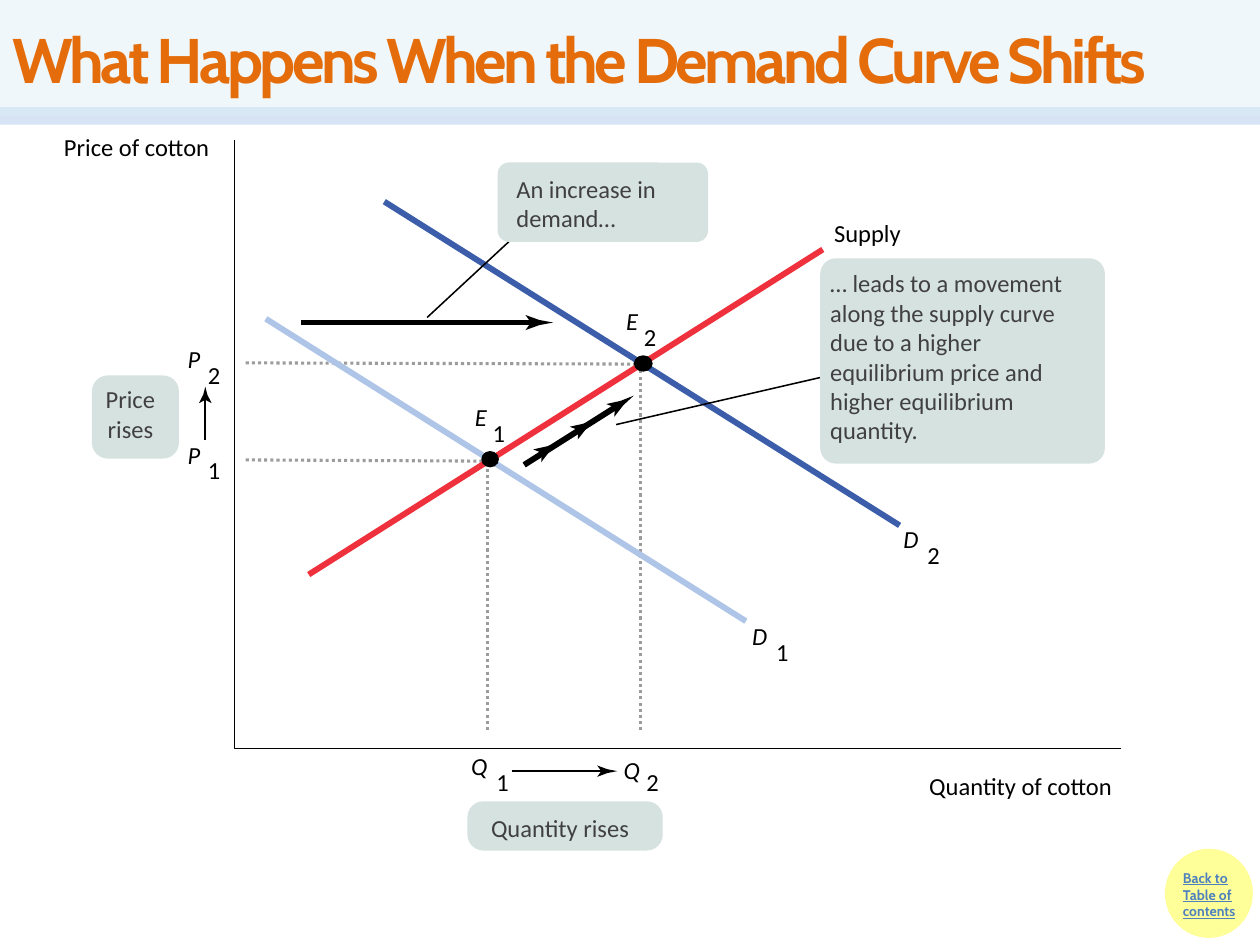
from math import atan2, cos, hypot, sin
from typing import NamedTuple

from lxml.etree import SubElement
from pptx import Presentation
from pptx.dml.color import RGBColor
from pptx.enum.dml import MSO_LINE
from pptx.enum.shapes import MSO_CONNECTOR, MSO_SHAPE
from pptx.enum.text import MSO_ANCHOR, PP_ALIGN
from pptx.oxml.ns import qn
from pptx.util import Inches, Pt

COLORS = {
    "black": "000000", "text": "404040", "title": "E46C0A", "header": "DBEEF4",
    "band": "C6D9F1", "badge": "FFFF99", "link": "4F81BD", "guide": "9C9C9C",
    "panel": "D6E2E0", "supply": "EE313C", "new demand": "3C5DAA",
    "old demand": "AEC5E7",
}
COLUMNS, ROWS = 100, 75
THIN, MEDIUM, DOTTED, THICK = 0.88, 1.25, 1.75, 3.38

Point = tuple[float, float]


class Box(NamedTuple):
    """A place on the slide, in columns and rows."""
    left: float
    top: float
    width: float
    height: float


class Segment(NamedTuple):
    start: Point
    end: Point
    color: str
    weight: float
    dash: MSO_LINE | None = None


class Symbol(NamedTuple):
    """An italic letter with its lowered index."""
    letter: str
    index: str
    left: float
    top: float
    shift: float
    drop: float = 1.25


class Arrow(NamedTuple):
    start: Point
    tips: tuple[Point, ...]
    weight: float
    head_length: float
    head_width: float


class Callout(NamedTuple):
    words: str
    panel: Box
    radius: float
    text_box: Box
    align: PP_ALIGN = PP_ALIGN.LEFT


prs = Presentation()
prs.slide_width, prs.slide_height = Inches(10), Inches(7.5)
slide = prs.slides.add_slide(prs.slide_layouts[6])
shapes = slide.shapes


def col(value: float) -> int:
    return round(prs.slide_width * value / COLUMNS)


def row(value: float) -> int:
    return round(prs.slide_height * value / ROWS)


def place(box: Box) -> tuple[int, int, int, int]:
    return col(box.left), row(box.top), col(box.width), row(box.height)


def rgb(name: str) -> RGBColor:
    return RGBColor.from_string(COLORS[name])


def set_opacity(fill_parent, percent: int) -> None:
    color = next(fill_parent.iter(qn("a:srgbClr")))
    SubElement(color, qn("a:alpha")).set("val", str(percent * 1000))


def paint(shape, color: str) -> None:
    shape.shadow.inherit = False
    shape.fill.solid()
    shape.fill.fore_color.rgb = rgb(color)
    shape.line.fill.background()


def add_filled(kind: MSO_SHAPE, box: Box, color: str):
    shape = shapes.add_shape(kind, *place(box))
    paint(shape, color)
    return shape


def add_line(segment: Segment):
    line = shapes.add_connector(
        MSO_CONNECTOR.STRAIGHT, col(segment.start[0]), row(segment.start[1]),
        col(segment.end[0]), row(segment.end[1]))
    line.line.color.rgb = rgb(segment.color)
    line.line.width = Pt(segment.weight)
    if segment.dash:
        line.line.dash_style = segment.dash
    SubElement(line._element.spPr, qn("a:effectLst"))
    return line


def add_outline(points: list[Point], close: bool):
    corners = [(col(x), row(y)) for x, y in points]
    builder = shapes.build_freeform(*corners[0])
    builder.add_line_segments(corners[1:], close=close)
    return builder.convert_to_shape()


def write(words: str, box: Box, *, shape=None, size=14, font="Calibri", color="black",
          bold=False, italic=False, underline=False, align=PP_ALIGN.LEFT,
          anchor=MSO_ANCHOR.TOP, wrap=True, inset=True, spacing=0) -> None:
    """Put words in the given shape, or in a new text box."""
    frame = (shape or shapes.add_textbox(*place(box))).text_frame
    frame.word_wrap = wrap
    frame.vertical_anchor = anchor
    if not inset:
        frame.margin_left = frame.margin_right = 0
        frame.margin_top = frame.margin_bottom = 0
    paragraph = frame.paragraphs[0]
    paragraph.alignment = align
    run = paragraph.add_run()
    run.text = words
    run.font.name, run.font.size = font, Pt(size)
    run.font.bold, run.font.italic, run.font.underline = bold, italic, underline
    run.font.color.rgb = rgb(color)
    if spacing:
        run._r.get_or_add_rPr().set("spc", str(spacing * 100))


def add_symbol(symbol: Symbol) -> None:
    write(symbol.letter, Box(symbol.left, symbol.top, 1.4, 2.4),
          italic=True, wrap=False, inset=False)
    write(symbol.index, Box(symbol.left + symbol.shift, symbol.top + symbol.drop, 1, 2.4),
          wrap=False, inset=False)


def add_arrow(arrow: Arrow) -> None:
    """Draw a shaft with a barbed head at each tip, the last one ending it."""
    (x0, y0), (x1, y1) = arrow.start, arrow.tips[-1]
    angle = atan2(y1 - y0, x1 - x0)
    reach = hypot(x1 - x0, y1 - y0) - arrow.head_length * 0.7
    shaft_end = (x0 + reach * cos(angle), y0 + reach * sin(angle))
    add_line(Segment(arrow.start, shaft_end, "black", arrow.weight))
    barbs = [(-0.8, 0), (-1, -0.5), (-0.5, -0.17), (0, 0), (-0.5, 0.17), (-1, 0.5)]
    for tip_x, tip_y in arrow.tips:
        points = []
        for along, across in barbs:
            u, v = along * arrow.head_length, across * arrow.head_width
            points.append((tip_x + u * cos(angle) - v * sin(angle),
                           tip_y + u * sin(angle) + v * cos(angle)))
        paint(add_outline(points, close=True), "black")


def add_callout(callout: Callout) -> None:
    panel = add_filled(MSO_SHAPE.ROUNDED_RECTANGLE, callout.panel, "panel")
    panel.adjustments[0] = callout.radius / min(callout.panel.width, callout.panel.height)
    write(callout.words, callout.text_box, color="text", align=callout.align)


SEGMENTS = [
    *(Segment(start, end, "guide", DOTTED, MSO_LINE.ROUND_DOT) for start, end in [
        ((19.5, 28.8), (50.8, 28.9)), ((50.8, 29.4), (50.8, 58)),
        ((19.5, 36.5), (38.7, 36.6)), ((38.7, 36.7), (38.7, 58))]),
    Segment((24.5, 45.6), (65.3, 19.8), "supply", THICK),
    Segment((71.4, 41.7), (30.5, 16), "new demand", THICK),
    Segment((59.2, 49.3), (21.1, 25.3), "old demand", THICK),
    Segment((48.9, 33.7), (65.8, 29.8), "black", THIN),
    Segment((33.9, 25.2), (40.8, 18.8), "black", THIN),
]
EQUILIBRIA = [Box(38.2, 35.8, 1.4, 1.3), Box(50.3, 28.2, 1.5, 1.3)]
ARROWS = [
    Arrow((23.9, 25.6), ((43.9, 25.6),), THICK, 2.2, 1.2),
    Arrow((41.6, 36.9), ((44.5, 35), (47.4, 33.2), (50.3, 31.4)), THICK, 2.2, 1.2),
    Arrow((16.3, 34.9), ((16.3, 30.7),), MEDIUM, 1.3, 1),
    Arrow((40.6, 61.2), ((49, 61.2),), MEDIUM, 1.6, 0.9),
]
SYMBOLS = [
    Symbol("Q", "2", 49.5, 59.9, 1.8, 1), Symbol("Q", "1", 37.4, 59.6, 2),
    Symbol("P", "2", 14.9, 27.3, 1.6), Symbol("P", "1", 14.9, 34.9, 1.6),
    Symbol("D", "2", 71.7, 41.6, 1.9), Symbol("D", "1", 59.7, 49.3, 1.9),
    Symbol("E", "2", 49.7, 24.3, 1.4), Symbol("E", "1", 37.7, 31.9, 1.4),
]
CALLOUTS = [
    Callout("Quantity rises", Box(37.1, 63.6, 15.5, 3.9), 1.25,
            Box(36.9, 64, 15.1, 3.4), PP_ALIGN.CENTER),
    Callout("Price rises", Box(7.3, 29.8, 6.9, 6.6), 1.25,
            Box(5.8, 30, 9.1, 5.7), PP_ALIGN.CENTER),
    Callout("An increase in demand…", Box(39.5, 12.9, 16.7, 6.3), 0.9,
            Box(40, 13.3, 16.1, 5.7)),
    Callout("… leads to a movement along the supply curve due to a higher "
            "equilibrium price and higher equilibrium quantity.",
            Box(65.1, 20.5, 22.6, 16.3), 1.25, Box(64.9, 20.8, 22.2, 15.1)),
]

band = add_line(Segment((0, 9.2), (COLUMNS, 9.2), "band", 10))
set_opacity(band._element.spPr, 71)
badge = add_filled(MSO_SHAPE.OVAL, Box(92.6, 67.5, 6.7, 6.8), "badge")
badge.line.color.rgb = rgb("badge")
badge.line.width = Pt(2)
write("Back to Table of contents", Box(92.9, 68.5, 7.2, 6.7), size=8, font="Cabin",
      color="link", bold=True, underline=True)
header_box = Box(0, 0, COLUMNS, 9.2)
header = add_filled(MSO_SHAPE.RECTANGLE, header_box, "header")
set_opacity(header._element.spPr, 44)
write("What Happens When the Demand Curve Shifts", header_box, shape=header, size=36,
      font="Cabin", color="title", bold=True, anchor=MSO_ANCHOR.MIDDLE, spacing=-2)

axes = add_outline([(89, 59.4), (18.6, 59.4), (18.6, 11.1)], close=False)
axes.shadow.inherit = False
axes.fill.background()
axes.line.color.rgb = rgb("black")
axes.line.width = Pt(THIN)
for segment in SEGMENTS:
    add_line(segment)
for equilibrium in EQUILIBRIA:
    add_filled(MSO_SHAPE.OVAL, equilibrium, "black")
for arrow in ARROWS:
    add_arrow(arrow)
for symbol in SYMBOLS:
    add_symbol(symbol)
for callout in CALLOUTS:
    add_callout(callout)
write("Supply", Box(66.2, 17.3, 5.7, 2.4), wrap=False, inset=False)
write("Price of cotton", Box(3.3, 10, 15.1, 3.4), align=PP_ALIGN.CENTER)
write("Quantity of cotton", Box(67.9, 60.7, 26.2, 3.4), align=PP_ALIGN.CENTER)

prs.save("out.pptx")
